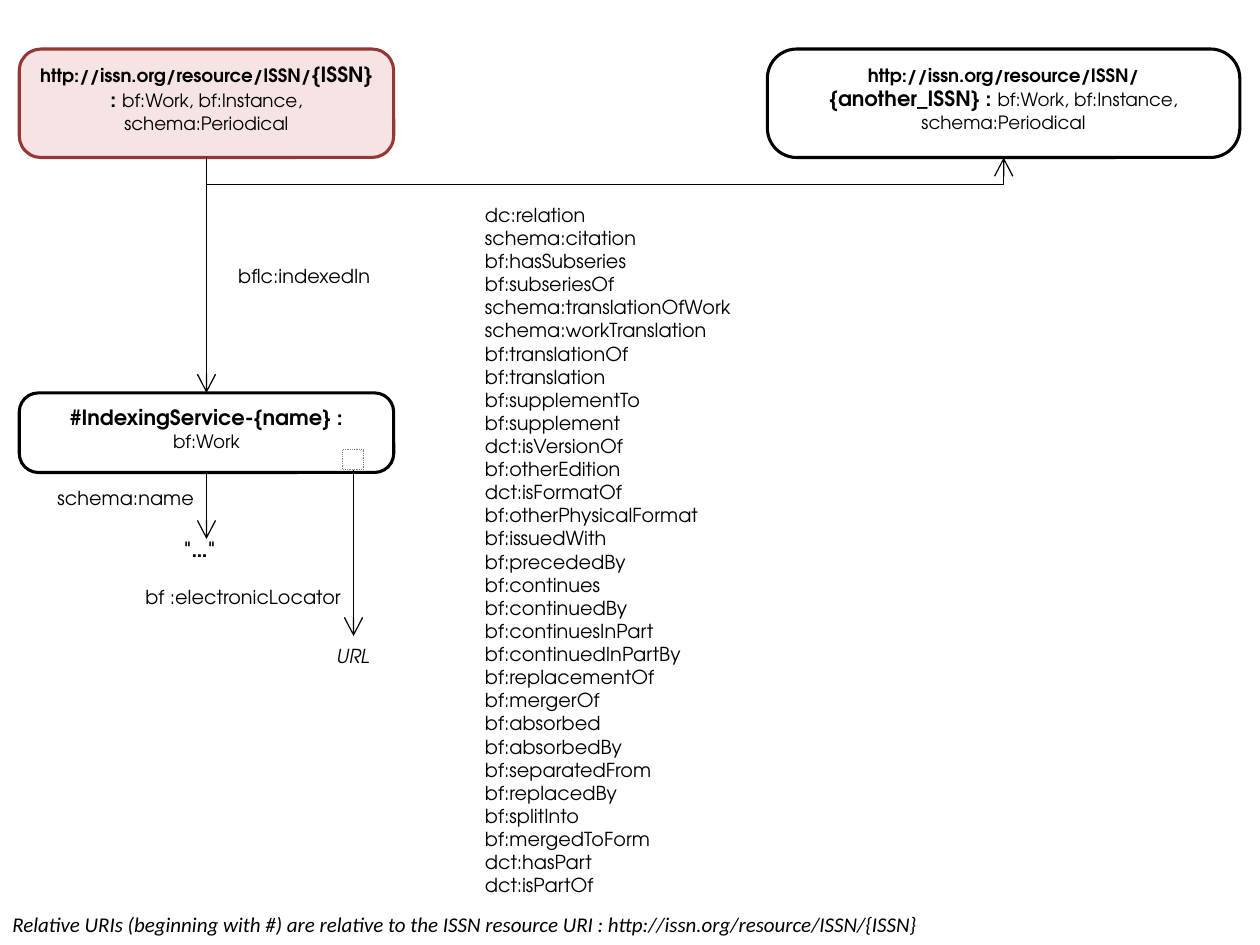
import pptx
import pptx.dml.color
import pptx.enum.dml
import pptx.enum.shapes
import pptx.enum.text
import pptx.oxml
import pptx.oxml.ns
import pptx.util

Pt = pptx.util.Pt
ALIGN = pptx.enum.text.PP_ALIGN
ANCHOR = pptx.enum.text.MSO_ANCHOR
SHAPE = pptx.enum.shapes.MSO_SHAPE
CONNECTOR = pptx.enum.shapes.MSO_CONNECTOR
ADVENTOR = "TeX Gyre Adventor"
BLACK = "000000"

RELATIONS = [
    "dc:relation", "schema:citation", "bf:hasSubseries", "bf:subseriesOf",
    "schema:translationOfWork", "schema:workTranslation", "bf:translationOf",
    "bf:translation", "bf:supplementTo", "bf:supplement", "dct:isVersionOf",
    "bf:otherEdition", "dct:isFormatOf", "bf:otherPhysicalFormat",
    "bf:issuedWith", "bf:precededBy", "bf:continues", "bf:continuedBy",
    "bf:continuesInPart", "bf:continuedInPartBy", "bf:replacementOf",
    "bf:mergerOf", "bf:absorbed", "bf:absorbedBy", "bf:separatedFrom",
    "bf:replacedBy", "bf:splitInto", "bf:mergedToForm", "dct:hasPart",
    "dct:isPartOf",
]
PERIODICAL_TYPES = ("bf:Work, bf:Instance, schema:Periodical", 10.5, False)


def rgb(color):
    return pptx.dml.color.RGBColor.from_string(color)


def format_run(run, size, font=ADVENTOR, bold=False, italic=False):
    run.font.name = font
    run.font.size = Pt(size)
    run.font.bold = bold
    run.font.italic = italic
    run.font.color.rgb = rgb(BLACK)


def add_label(slide, box, lines, size=11, align=ALIGN.LEFT, anchor=ANCHOR.TOP, **style):
    """Place plain text, one paragraph for each line."""
    frame = slide.shapes.add_textbox(*map(Pt, box)).text_frame
    frame.word_wrap = True
    frame.vertical_anchor = anchor
    frame.text = "\n".join(lines)
    for paragraph in frame.paragraphs:
        paragraph.alignment = align
        for run in paragraph.runs:
            format_run(run, size, **style)


def add_outline(slide, kind, box, line, width, fill=None):
    outline = slide.shapes.add_shape(kind, *map(Pt, box))
    outline.shadow.inherit = False
    if fill:
        outline.fill.solid()
        outline.fill.fore_color.rgb = rgb(fill)
    else:
        outline.fill.background()
    outline.line.color.rgb = rgb(line)
    outline.line.width = Pt(width)
    return outline


def add_resource(slide, box, corner, parts, line=BLACK, fill=None):
    """Draw a rounded resource box; parts are (text, size, bold)."""
    resource = add_outline(slide, SHAPE.ROUNDED_RECTANGLE, box, line, 1.75, fill)
    resource.adjustments[0] = corner
    frame = resource.text_frame
    frame.word_wrap = True
    frame.vertical_anchor = ANCHOR.TOP
    paragraph = frame.paragraphs[0]
    paragraph.alignment = ALIGN.CENTER
    for text, size, bold in parts:
        run = paragraph.add_run()
        run.text = text
        format_run(run, size, bold=bold)


def add_arrow(slide, start, end, kind=CONNECTOR.STRAIGHT):
    arrow = slide.shapes.add_connector(kind, *map(Pt, start + end))
    arrow.line.color.rgb = rgb(BLACK)
    arrow.line.width = Pt(0.75)
    head = pptx.oxml.parse_xml(
        f'<a:tailEnd {pptx.oxml.ns.nsdecls("a")} type="arrow" w="lg" len="lg"/>')
    arrow.line._get_or_add_ln().append(head)
    effects = pptx.oxml.parse_xml(f'<a:effectLst {pptx.oxml.ns.nsdecls("a")}/>')
    arrow._element.spPr.append(effects)
    return arrow


def add_relation_arrow(slide, start, end, drop):
    """Join two points of equal height by an elbow that dips by drop."""
    (left, level), (right, _) = start, end
    arrow = add_arrow(slide, start, end, CONNECTOR.ELBOW)
    span, thickness = right - left, 0.12
    arrow.left = Pt((left + right - thickness) / 2)
    arrow.top = Pt(level - span / 2)
    arrow.width, arrow.height = Pt(thickness), Pt(span)
    properties = arrow._element.spPr
    properties.xfrm.set("rot", str(270 * 60000))
    properties.xfrm.set("flipH", "1")
    guides = properties.find(pptx.oxml.ns.qn("a:prstGeom")).get_or_add_avLst()
    bend = round(drop / thickness * 100000)
    guides.append(pptx.oxml.parse_xml(
        f'<a:gd {pptx.oxml.ns.nsdecls("a")} name="adj1" fmla="val {bend}"/>'))


def add_indexing_service(slide, box):
    """Draw the service box with its name and locator hanging below it."""
    left, top, width, height = box
    bottom, center, locator = top + height, left + width / 2, left + 191
    add_resource(slide, box, 0.24, [("#IndexingService-{name} : ", 12, True),
                                    ("bf:Work", 10.5, False)])
    add_arrow(slide, (center, bottom), (center, bottom + 38))
    add_label(slide, (center - 20, bottom + 38, 40, 11.5), ["\"…\""], 12,
              anchor=ANCHOR.MIDDLE, bold=True)
    add_label(slide, (center - 101, bottom + 4.5, 101, 20), ["schema:name"],
              align=ALIGN.RIGHT)

    anchor_mark = add_outline(slide, SHAPE.RECTANGLE,
                              (locator - 6, bottom - 13, 11.5, 11.5), "808080", 0.5)
    anchor_mark.line.dash_style = pptx.enum.dml.MSO_LINE.ROUND_DOT
    add_arrow(slide, (locator, bottom - 1.5), (locator, bottom + 93.5))
    add_label(slide, (locator - 21.5, bottom + 93.5, 42.5, 22.5), ["URL"],
              align=ALIGN.CENTER, anchor=ANCHOR.MIDDLE, italic=True)
    add_label(slide, (locator - 134.5, bottom + 61, 134.5, 20),
              ["bf\u00a0:electronicLocator"], align=ALIGN.RIGHT)


def add_periodicals(slide, box):
    """Draw the two periodicals side by side, joined by the relation arrow."""
    left, top, width, height = box
    issn_width, other_width = 214, 270
    other_left = left + width - other_width
    bottom = top + height
    address = ("http://issn.org/resource/ISSN/", 10.5, True)
    add_resource(slide, (left, top, issn_width, height), 0.2,
                 [address, ("{ISSN} : ", 12, True), PERIODICAL_TYPES],
                 line="953735", fill="F5E4E3")
    add_resource(slide, (other_left, top, other_width, height), 0.27,
                 [address, ("{another_ISSN} : ", 12, True), PERIODICAL_TYPES])
    add_relation_arrow(slide, (left + issn_width / 2, bottom),
                       (other_left + other_width / 2, bottom), 16.5)


def main():
    presentation = pptx.Presentation()
    presentation.slide_width, presentation.slide_height = Pt(720), Pt(540)
    slide = presentation.slides.add_slide(presentation.slide_layouts[6])

    add_periodicals(slide, (11, 28, 697.5, 62))
    add_label(slide, (270, 112.5, 389, 403), RELATIONS)
    add_arrow(slide, (118, 90), (118, 224.5))
    add_label(slide, (129, 147.5, 101.5, 20), ["bflc:indexedIn"])
    add_indexing_service(slide, (11, 224.5, 214, 45.5))
    add_label(slide, (0, 517.5, 720, 22), [
        "Relative URIs (beginning with #) are relative to the ISSN resource URI : "
        "http://issn.org/resource/ISSN/{ISSN}"], 12, font="Calibri", italic=True)

    presentation.save("out.pptx")


if __name__ == "__main__":
    main()
